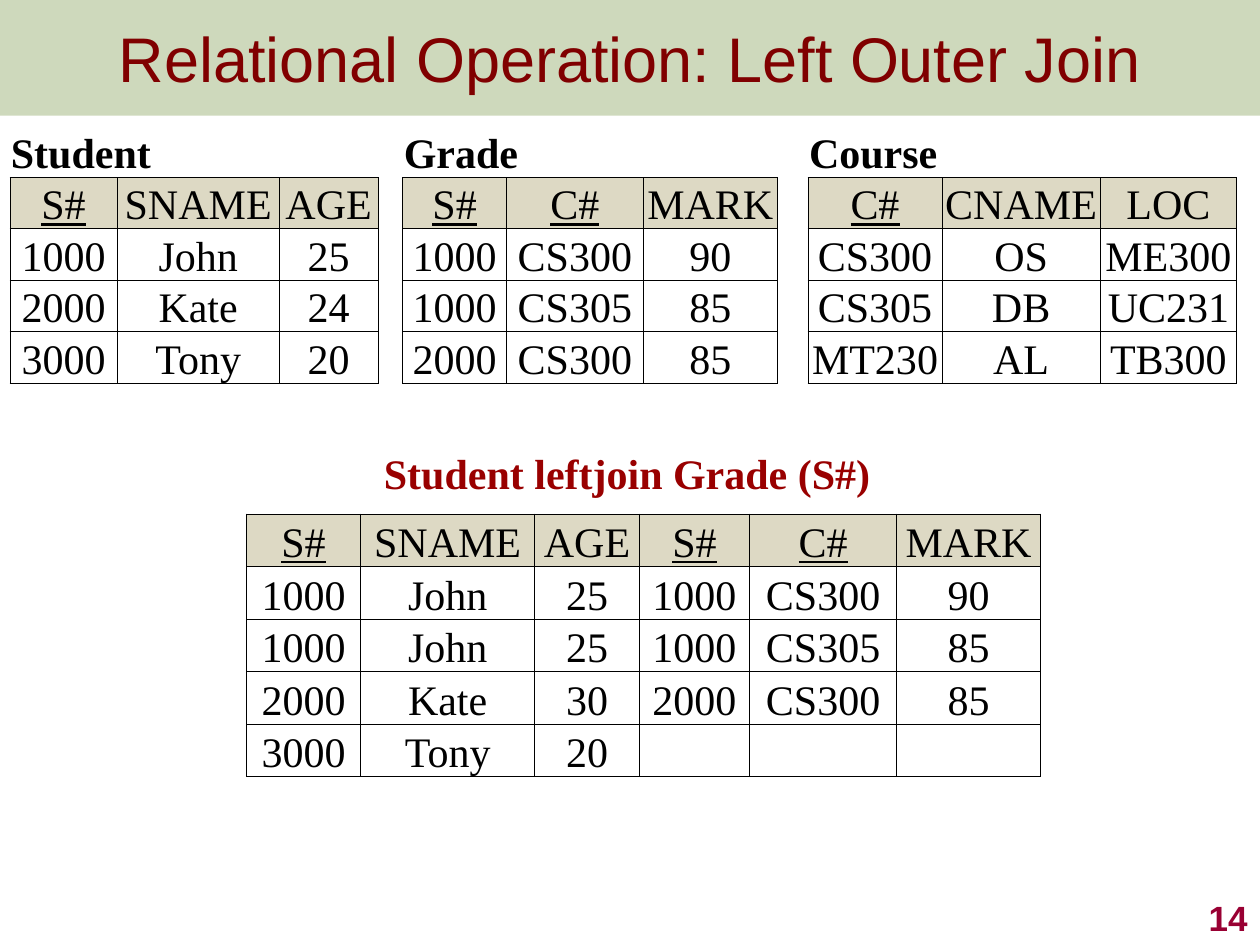
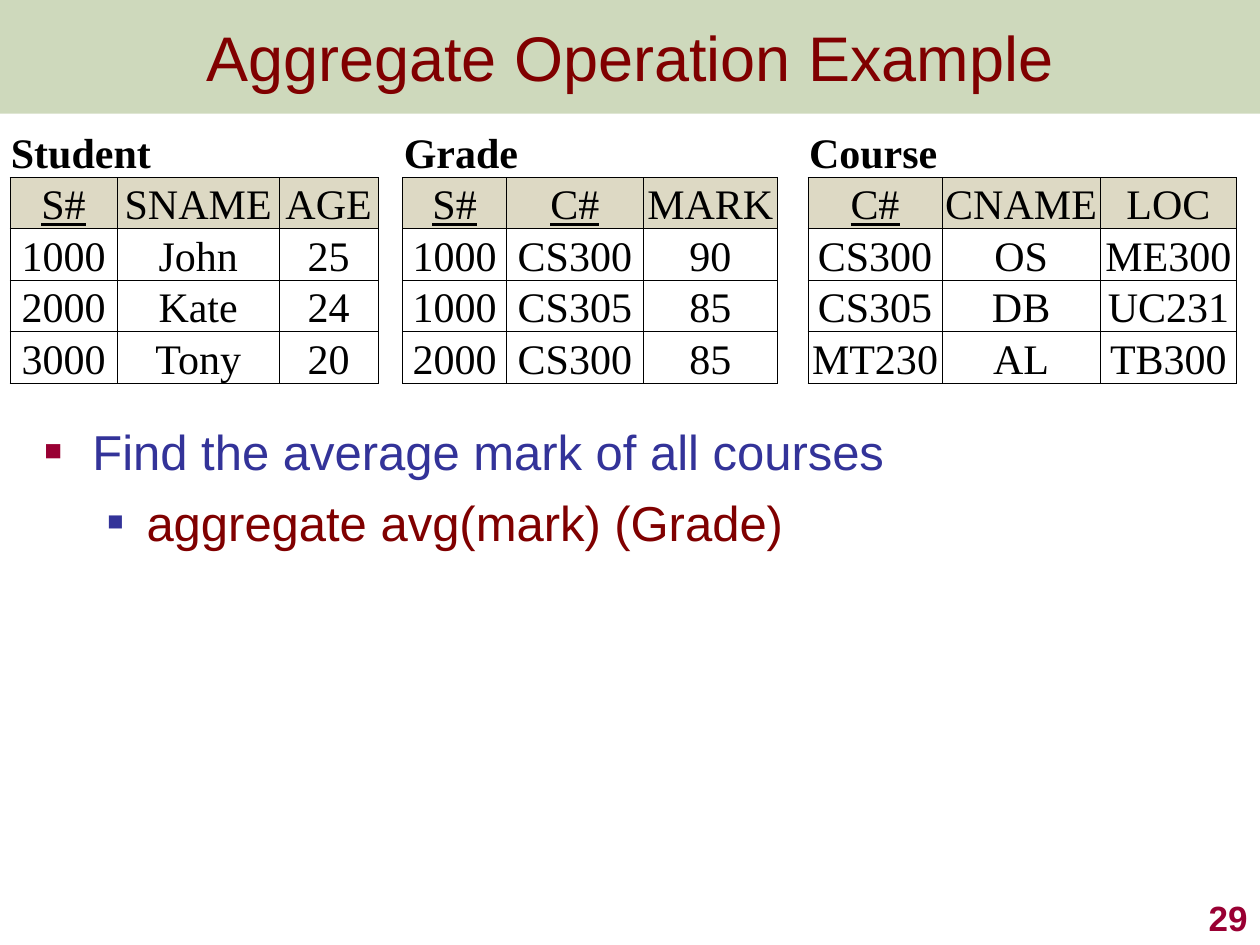
from itertools import product

from lxml.etree import SubElement
from pptx import Presentation
from pptx.dml.color import RGBColor
from pptx.enum.text import MSO_ANCHOR, MSO_AUTO_SIZE, PP_ALIGN
from pptx.oxml import parse_xml
from pptx.oxml.ns import nsdecls, qn
from pptx.util import Cm, Pt

BAND_GREEN = RGBColor(0x5F, 0x84, 0x22)
MAROON = RGBColor(0x80, 0x00, 0x00)
RED = RGBColor(0x99, 0x00, 0x00)
CRIMSON = RGBColor(0x99, 0x00, 0x33)
INDIGO = RGBColor(0x33, 0x33, 0x99)
HEADER_TAN = RGBColor(0xDD, 0xD9, 0xC4)
BLACK = RGBColor(0x00, 0x00, 0x00)
WHITE = RGBColor(0xFF, 0xFF, 0xFF)

PLAIN_TABLE_STYLE = "{2D5ABB26-0587-4C30-8999-92F81FD0307C}"
KEYS = ("S#", "C#")
GRID_SIDES = "LRTB"

RELATIONS = [
    ("Student", [["S#", "SNAME", "AGE"],
                 ["1000", "John", "25"],
                 ["2000", "Kate", "24"],
                 ["3000", "Tony", "20"]]),
    ("Grade", [["S#", "C#", "MARK"],
               ["1000", "CS300", "90"],
               ["1000", "CS305", "85"],
               ["2000", "CS300", "85"]]),
    ("Course", [["C#", "CNAME", "LOC"],
                ["CS300", "OS", "ME300"],
                ["CS305", "DB", "UC231"],
                ["MT230", "AL", "TB300"]]),
]
RELATION_WIDTHS = [2.16, 3.27, 1.99, 0.5, 2.09, 2.76, 2.7, 0.62, 2.7, 3.19, 2.75]

LEFT_JOIN = [
    ["S#", "SNAME", "AGE", "S#", "C#", "MARK"],
    ["1000", "John", "25", "1000", "CS300", "90"],
    ["1000", "John", "25", "1000", "CS305", "85"],
    ["2000", "Kate", "30", "2000", "CS300", "85"],
    ["3000", "Tony", "20", "", "", ""],
]
LEFT_JOIN_WIDTHS = [2.3, 3.51, 2.11, 2.22, 2.97, 2.89]


def assign(target, formats):
    for name, value in formats.items():
        setattr(target, name, value)


class Deck:
    title_font = {"name": "Arial", "size": Pt(36)}
    list_font = {"name": "Arial", "size": Pt(28)}
    number_font = {"name": "Arial", "size": Pt(20), "bold": True}
    table_font = {"name": "Times New Roman", "size": Pt(24)}
    cell_format = {"margin_left": Cm(0.02), "margin_right": Cm(0.02),
                   "margin_top": Cm(0.02), "margin_bottom": 0,
                   "vertical_anchor": MSO_ANCHOR.BOTTOM}

    def __init__(self):
        self.presentation = Presentation()
        assign(self.presentation, {"slide_width": Cm(25.4), "slide_height": Cm(19.05)})
        self.slide = None

    def new_slide(self, layout, title, band_height, number):
        self.slide = self.presentation.slides.add_slide(
            self.presentation.slide_layouts.get_by_name(layout))
        self.title(title, band_height)
        self.text(number, (20.12, 17.78, 5.28, 1.27), self.number_font, CRIMSON,
                  PP_ALIGN.RIGHT, {"word_wrap": True, "vertical_anchor": MSO_ANCHOR.BOTTOM})

    def place(self, shape, box):
        assign(shape, dict(zip(("left", "top", "width", "height"), map(Cm, box))))

    def styled_run(self, paragraph, text, font, color, align=None):
        paragraph.alignment = align
        run = paragraph.add_run()
        run.text = text
        assign(run.font, font)
        run.font.color.rgb = color

    def title(self, text, band_height):
        band = self.slide.shapes.title
        self.place(band, (0, 0, 25.4, band_height))
        band.fill.solid()
        band.fill.fore_color.rgb = BAND_GREEN
        tint = band._element.spPr.find(".//" + qn("a:srgbClr"))
        SubElement(tint, qn("a:alpha"), val="30000")
        band.text_frame.vertical_anchor = MSO_ANCHOR.MIDDLE
        self.styled_run(band.text_frame.paragraphs[0], text, self.title_font, MAROON,
                        PP_ALIGN.CENTER)

    def text(self, text, box, font, color, align, frame_format):
        frame = self.slide.shapes.add_textbox(*map(Cm, box)).text_frame
        assign(frame, frame_format)
        self.styled_run(frame.paragraphs[0], text, font, color, align)

    def bullets(self, items, box):
        body = self.slide.placeholders[1]
        self.place(body, box)
        frame = body.text_frame
        assign(frame, {"margin_top": Cm(0.23), "margin_right": 0,
                       "auto_size": MSO_AUTO_SIZE.NONE})
        styles = [(0.97, -0.97, CRIMSON, 60, INDIGO), (2.06, -0.79, INDIGO, 55, MAROON)]
        for index, (level, text) in enumerate(items):
            paragraph = frame.add_paragraph() if index else frame.paragraphs[0]
            margin, indent, bullet_color, percent, color = styles[level]
            props = paragraph._p.get_or_add_pPr()
            props.set("marL", str(Cm(margin)))
            props.set("indent", str(Cm(indent)))
            tint = SubElement(props, qn("a:buClr"))
            SubElement(tint, qn("a:srgbClr"), val=str(bullet_color))
            SubElement(props, qn("a:buSzPct"), val=str(percent * 1000))
            SubElement(props, qn("a:buFont"), typeface="Arial")
            SubElement(props, qn("a:buChar"), char="■")
            assign(paragraph, {"level": level, "space_before": Pt(7 if index else 0)})
            self.styled_run(paragraph, text, self.list_font, color)

    def table(self, corner, widths, row_height, row_count):
        left, top = corner
        table = self.slide.shapes.add_table(
            row_count, len(widths), Cm(left), Cm(top),
            Cm(sum(widths)), Cm(row_height * row_count)).table
        assign(table, {"first_row": False, "horz_banding": False})
        table._tbl.tblPr.find(qn("a:tableStyleId")).text = PLAIN_TABLE_STYLE
        for column, width in zip(table.columns, widths):
            column.width = Cm(width)
        for row in table.rows:
            row.height = Cm(row_height)
        return table

    def cell(self, cell, text="", sides="", fill=WHITE, align=PP_ALIGN.CENTER, **font):
        assign(cell, self.cell_format)
        cell.fill.solid()
        cell.fill.fore_color.rgb = fill
        props = cell._tc.get_or_add_tcPr()
        for index, side in enumerate(sides):
            props.insert(index, parse_xml(
                f'<a:ln{side} {nsdecls("a")} w="{Pt(0.5)}"><a:solidFill>'
                f'<a:srgbClr val="{BLACK}"/></a:solidFill></a:ln{side}>'))
        if text:
            self.styled_run(cell.text_frame.paragraphs[0], text,
                            {**self.table_font, **font}, BLACK, align)

    def grid(self, table, rows, first_row=0, first_column=0):
        for r, c in product(range(len(rows)), range(len(rows[0]))):
            heading = r == 0
            self.cell(table.cell(first_row + r, first_column + c), rows[r][c], GRID_SIDES,
                      HEADER_TAN if heading else WHITE,
                      underline=heading and rows[r][c] in KEYS)

    def relations(self):
        table = self.table((0.2, 2.54), RELATION_WIDTHS, 0.97, 5)
        for index, (name, rows) in enumerate(RELATIONS):
            first, span = index * 4, len(rows[0])
            if index:
                for r in range(5):
                    self.cell(table.cell(r, first - 1), sides="LR" if r else "")
            for offset in range(span):
                self.cell(table.cell(0, first + offset), "" if offset else name, "B",
                          align=PP_ALIGN.LEFT, bold=True)
            table.cell(0, first).merge(table.cell(0, first + span - 1))
            self.grid(table, rows, 1, first)


def main():
    deck = Deck()

    deck.new_slide("Title Only", "Relational Operation: Left Outer Join", 2.33, "14")
    deck.relations()
    deck.text("Student leftjoin Grade (S#)", (7.49, 8.89, 10.41, 1.27),
              {**deck.table_font, "bold": True}, RED, PP_ALIGN.LEFT,
              {"word_wrap": False, "auto_size": MSO_AUTO_SIZE.SHAPE_TO_FIT_TEXT})
    join = deck.table((4.97, 10.36), LEFT_JOIN_WIDTHS, 1.06, len(LEFT_JOIN))
    deck.grid(join, LEFT_JOIN)

    deck.new_slide("Title and Content", "Aggregate Operation Example", 2.29, "29")
    deck.relations()
    deck.bullets([(0, "Find the average mark of all courses"),
                  (1, "aggregate avg(mark) (Grade)")], (0.64, 8.26, 23.52, 7.82))

    deck.presentation.save("out.pptx")


if __name__ == "__main__":
    main()
